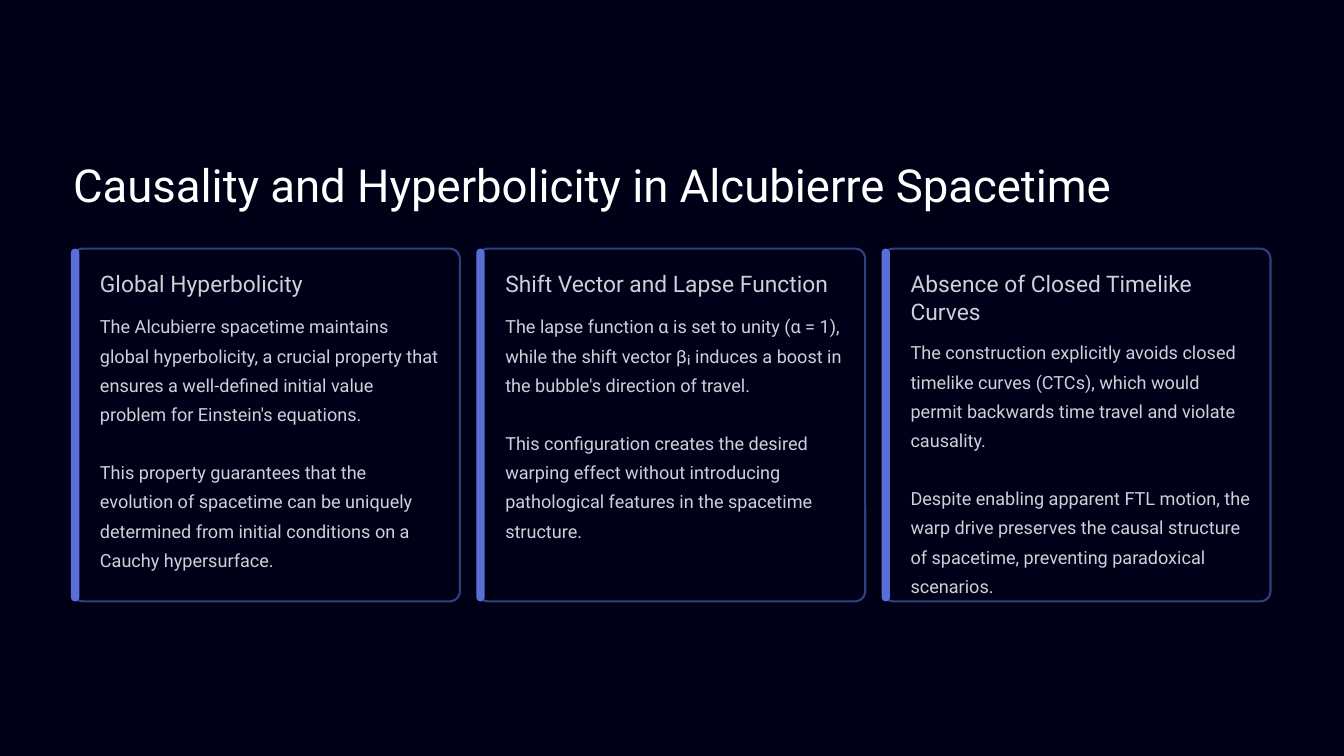
from pptx import Presentation
from pptx.dml.color import RGBColor
from pptx.enum.shapes import MSO_SHAPE as Shape
from pptx.enum.text import MSO_ANCHOR as Anchor, MSO_AUTO_SIZE as AutoSize, PP_ALIGN as Align
from pptx.util import Inches, Pt

WIDTH, HEIGHT = Inches(16), Inches(9)
COLUMNS, ROWS = 160, 90
CARD_PITCH = 48.25
HEADING_LINE = 3.1
BACKGROUND, CARD_FILL, CARD_LINE, ACCENT = "000017", "000018", "313E80", "5A6ED8"
TITLE = {"size": Pt(39), "name": "Roboto", "color": "FFFFFF", "spacing": Pt(48.5)}
HEADING = {"size": Pt(19.5), "name": "Roboto", "color": "CFD0D8", "spacing": Pt(24)}
BODY = {"size": Pt(15.5), "name": "Roboto", "color": "CFD0D8", "spacing": Pt(25)}

CARDS = [
    ("Global Hyperbolicity", 1, [
        "The Alcubierre spacetime maintains global hyperbolicity, a crucial property that "
        "ensures a well-defined initial value problem for Einstein's equations.",
        "This property guarantees that the evolution of spacetime can be uniquely determined "
        "from initial conditions on a Cauchy hypersurface."]),
    ("Shift Vector and Lapse Function", 1, [
        "The lapse function α is set to unity (α = 1), while the shift vector βᵢ induces "
        "a boost in the bubble's direction of travel.",
        "This configuration creates the desired warping effect without introducing "
        "pathological features in the spacetime structure."]),
    ("Absence of Closed Timelike Curves", 2, [
        "The construction explicitly avoids closed timelike curves (CTCs), which would permit "
        "backwards time travel and violate causality.",
        "Despite enabling apparent FTL motion, the warp drive preserves the causal structure "
        "of spacetime, preventing paradoxical scenarios."]),
]


def paint(target, color):
    """Give a fill or line format one solid colour."""
    target.solid()
    target.fore_color.rgb = RGBColor.from_string(color)


def grid(left, top, width, height):
    """Turn grid columns and rows into slide lengths."""
    across, down = WIDTH / COLUMNS, HEIGHT / ROWS
    return [round(left * across), round(top * down), round(width * across), round(height * down)]


def write(box, paragraphs, style):
    """Fill a box with paragraphs one blank line apart."""
    frame = box.text_frame
    settings = {"margin_left": 0, "margin_top": 0, "margin_right": 0, "margin_bottom": 0,
                "word_wrap": True, "auto_size": AutoSize.NONE, "vertical_anchor": Anchor.TOP}
    for name, value in settings.items():
        setattr(frame, name, value)
    for index, text in enumerate(paragraphs):
        para = frame.add_paragraph() if index else frame.paragraphs[0]
        para.alignment = Align.LEFT
        para.line_spacing = style["spacing"]
        para.space_before = style["spacing"] if index else Pt(0)
        span = para.add_run()
        span.text = text
        for name in ("size", "name"):
            setattr(span.font, name, style[name])
        paint(span.font.fill, style["color"])


def add_title(page, text, box):
    """Place and format the title placeholder."""
    title = page.shapes.title
    for name, value in zip(("left", "top", "width", "height"), grid(*box)):
        setattr(title, name, value)
    write(title, [text], TITLE)


def add_panel(page, box, corner, fill, line=None):
    """Draw a rounded rectangle with an optional outline."""
    panel = page.shapes.add_shape(Shape.ROUNDED_RECTANGLE, *grid(*box))
    panel.adjustments[0] = corner
    panel.shadow.inherit = False
    paint(panel.fill, fill)
    if line:
        paint(panel.line.fill, line)
        panel.line.width = Pt(1.8)
    else:
        panel.line.fill.background()


def add_card(page, box, heading, heading_lines, paragraphs):
    """Build a card with an accent bar, a heading and body text."""
    left, top, width, height = box
    add_panel(page, box, 0.029, CARD_FILL, CARD_LINE)
    add_panel(page, (left - 0.2, top, 1, height), 0.5, ACCENT)
    text_left, text_width = left + 3.25, width - 5.6
    body_top = top + 4 + HEADING_LINE * heading_lines
    heading_box = (text_left, top + 2.4, text_width, 3.4 * heading_lines)
    body_box = (text_left, body_top, text_width, top + height - 2.4 - body_top)
    for place, texts, style in ((heading_box, [heading], HEADING), (body_box, paragraphs, BODY)):
        write(page.shapes.add_textbox(*grid(*place)), texts, style)


def main():
    """Create the deck and save it."""
    deck = Presentation()
    deck.slide_width, deck.slide_height = WIDTH, HEIGHT
    page = deck.slides.add_slide(deck.slide_layouts[5])
    paint(page.background.fill, BACKGROUND)
    add_title(page, "Causality and Hyperbolicity in Alcubierre Spacetime", (8.7, 18.4, 125.2, 6.8))
    for index, card in enumerate(CARDS):
        add_card(page, (8.65 + index * CARD_PITCH, 29.6, 46.1, 42), *card)
    deck.save("out.pptx")


if __name__ == "__main__":
    main()
